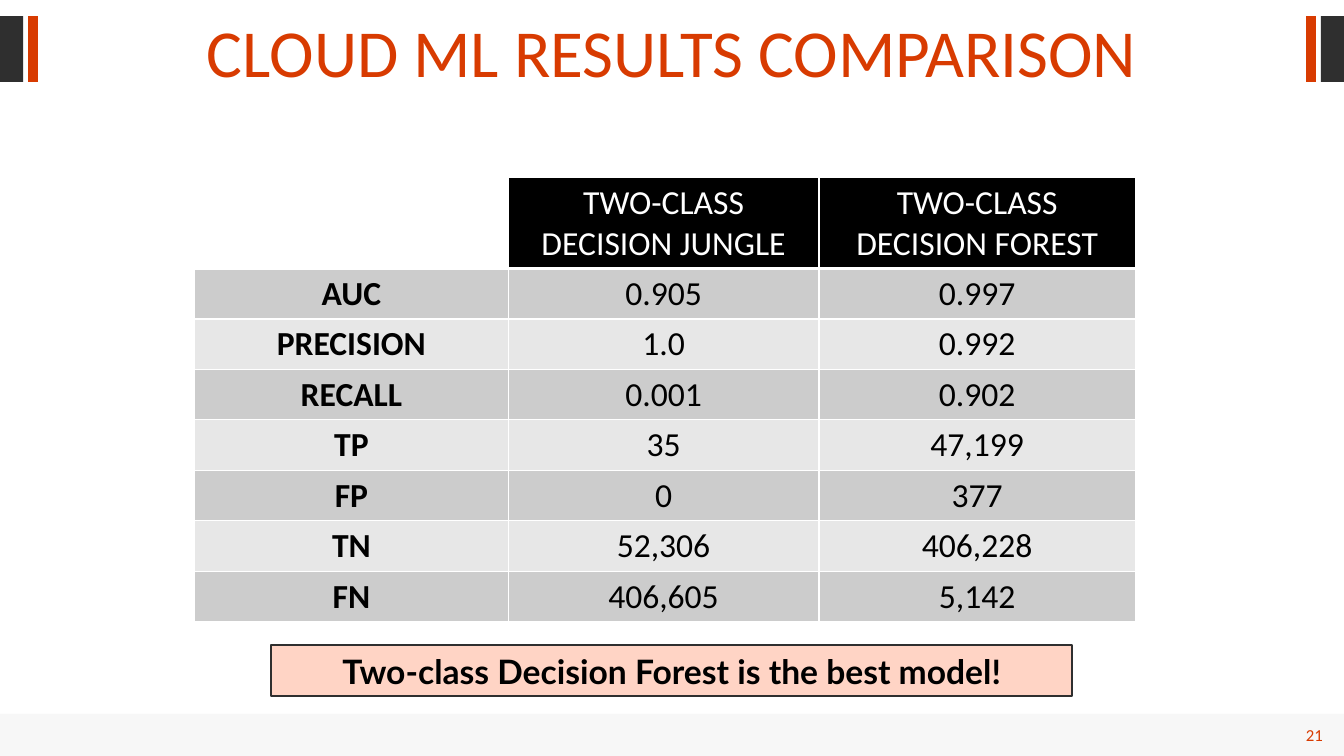
"""Builds the slide that compares two decision models in a table."""
from dataclasses import dataclass
from lxml.etree import SubElement
from pptx import Presentation
from pptx.dml.color import RGBColor
from pptx.enum.shapes import MSO_SHAPE
from pptx.enum.text import MSO_ANCHOR, PP_ALIGN
from pptx.oxml.ns import qn
from pptx.util import Pt


@dataclass(frozen=True)
class Theme:
    """Holds the colours, fonts and type sizes."""
    dark: str = "2F2F2F"
    accent: str = "D83B01"
    foot: str = "E6E6E6"
    peach: str = "FFD4C5"
    black: str = "000000"
    white: str = "FFFFFF"
    bands: tuple = ("CCCCCC", "E7E7E7")
    font: str = "Calibri"
    strong: str = "Lato"
    head: int = 48
    body: int = 24
    small: int = 12


THEME = Theme()
WIDTH, HEIGHT = 960, 540
COLS = (224, 222, 226)
HEAD_ROW, BODY_ROW = 62, 36
ROWS = (
    ("", "TWO-CLASS DECISION JUNGLE", "TWO-CLASS DECISION FOREST"),
    ("AUC", "0.905", "0.997"),
    ("PRECISION", "1.0", "0.992"),
    ("RECALL", "0.001", "0.902"),
    ("TP", "35", "47,199"),
    ("FP", "0", "377"),
    ("TN", "52,306", "406,228"),
    ("FN", "406,605", "5,142"),
)


def paint(fill, color):
    """Gives a fill one solid colour."""
    fill.solid()
    fill.fore_color.rgb = RGBColor.from_string(color)


def write(frame, text, size, color, bold=False, font=THEME.font, align=PP_ALIGN.CENTER):
    """Sets one styled paragraph and returns it."""
    frame.text = text
    frame.word_wrap = True
    para = frame.paragraphs[0]
    para.alignment = align
    for run in para.runs:
        run.font.name = font
        run.font.size = Pt(size)
        run.font.bold = bold
        run.font.color.rgb = RGBColor.from_string(color)
    return para


def add_bar(slide, left, top, width, height, color):
    """Adds a plain rectangle without an outline."""
    bar = slide.shapes.add_shape(
        MSO_SHAPE.RECTANGLE, Pt(left), Pt(top), Pt(width), Pt(height))
    bar.shadow.inherit = False
    paint(bar.fill, color)
    bar.line.fill.background()
    return bar


def add_text(slide, left, top, width, height):
    """Adds an empty text box and returns its frame."""
    return slide.shapes.add_textbox(
        Pt(left), Pt(top), Pt(width), Pt(height)).text_frame


def add_marks(slide):
    """Adds the title marks, mirrored at both slide edges."""
    for left, width, color in ((0, 16.5, THEME.dark), (20, 7, THEME.accent)):
        for side in (left, WIDTH - left - width):
            add_bar(slide, side, 11.5, width, 47, color)


def add_foot(slide, number):
    """Adds the pale footer band and the page number."""
    band = add_bar(slide, 0, 510, WIDTH, HEIGHT - 510, THEME.foot)
    tint = band.fill._xPr.find(qn("a:solidFill"))[0]
    SubElement(tint, qn("a:alpha"), val="30000")
    frame = add_text(slide, 889, 514, 63, 22)
    frame.vertical_anchor = MSO_ANCHOR.MIDDLE
    write(frame, number, THEME.small, THEME.accent, align=PP_ALIGN.RIGHT)


def add_title(slide, text):
    """Adds the slide title."""
    frame = add_text(slide, 37, 11.5, 886, 55.5)
    frame.margin_top = Pt(7.2)
    write(frame, text, THEME.head, THEME.accent).line_spacing = 0.8


def edge(cell, base):
    """Draws white cell borders with the given bottom width."""
    props = cell._tc.get_or_add_tcPr()
    for side, width in (("L", 1), ("R", 1), ("T", 1), ("B", base)):
        line = SubElement(props, qn(f"a:ln{side}"), w=str(Pt(width)))
        fill = SubElement(line, qn("a:solidFill"))
        SubElement(fill, qn("a:srgbClr"), val=THEME.white)


def add_grid(slide, left, top):
    """Adds the table of model scores."""
    tall = HEAD_ROW + BODY_ROW * (len(ROWS) - 1)
    table = slide.shapes.add_table(
        len(ROWS), len(COLS), Pt(left), Pt(top), Pt(sum(COLS)), Pt(tall)).table
    for col, width in zip(table.columns, COLS):
        col.width = Pt(width)
    for i, texts in enumerate(ROWS):
        first = i == 0
        table.rows[i].height = Pt(HEAD_ROW if first else BODY_ROW)
        for j, text in enumerate(texts):
            cell = table.cell(i, j)
            edge(cell, 3 if first else 1)
            if text:
                paint(cell.fill, THEME.black if first else THEME.bands[(i - 1) % 2])
            else:
                cell.fill.background()
            cell.vertical_anchor = MSO_ANCHOR.TOP if first else MSO_ANCHOR.MIDDLE
            write(cell.text_frame, text, THEME.body,
                  THEME.white if first else THEME.black, bold=j == 0)


def add_note(slide, text):
    """Adds the outlined box with the conclusion."""
    box = add_bar(slide, 193.5, 461, 572.5, 36, THEME.peach)
    paint(box.line.fill, THEME.dark)
    box.line.width = Pt(1.5)
    write(box.text_frame, text, THEME.body, THEME.black, True, THEME.strong)


def main():
    """Builds and saves the slide."""
    deck = Presentation()
    deck.slide_width, deck.slide_height = Pt(WIDTH), Pt(HEIGHT)
    slide = deck.slides.add_slide(deck.slide_layouts[6])
    add_foot(slide, "21")
    add_marks(slide)
    add_title(slide, "CLOUD ML RESULTS COMPARISON")
    add_grid(slide, 139, 127)
    add_note(slide, "Two-class Decision Forest is the best model!")
    deck.save("out.pptx")


main()
